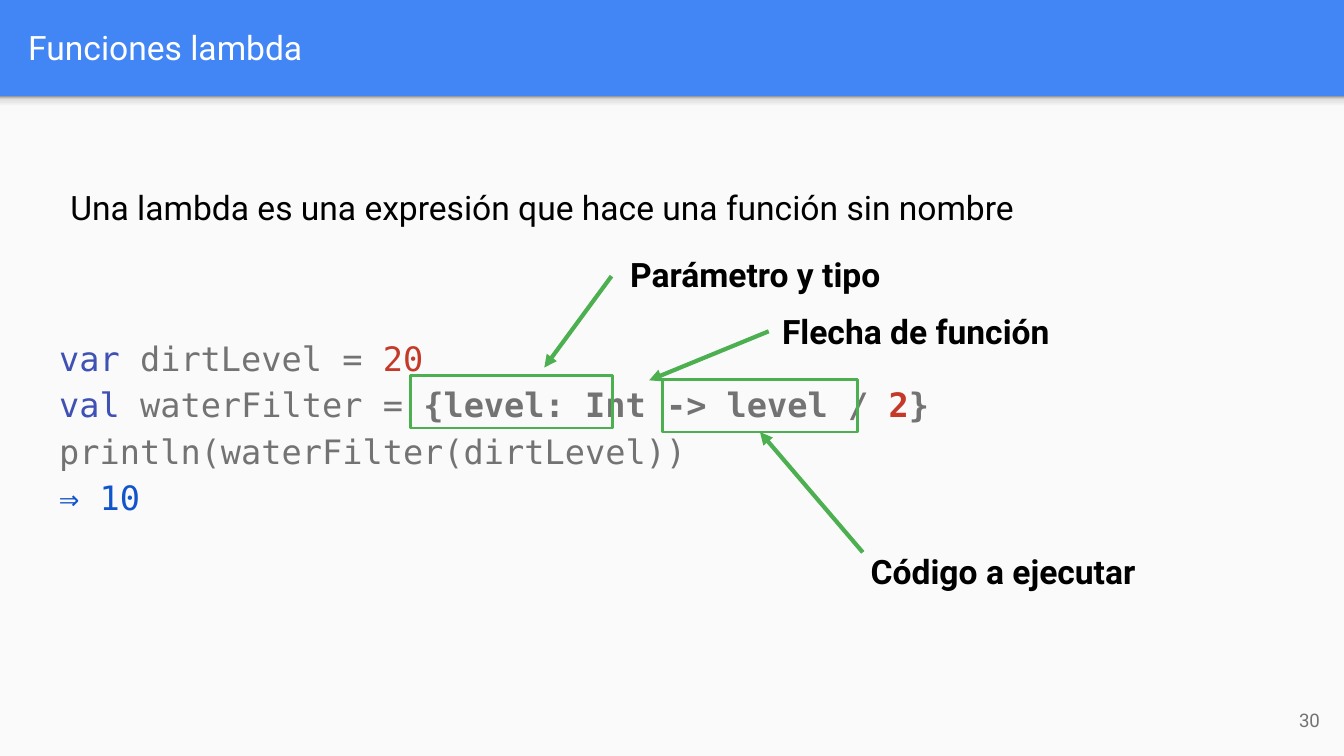
from copy import deepcopy

from lxml import etree
from pptx import Presentation
from pptx.dml.color import RGBColor
from pptx.enum.shapes import MSO_CONNECTOR, MSO_SHAPE
from pptx.enum.text import MSO_ANCHOR, MSO_AUTO_SIZE, PP_ALIGN
from pptx.oxml.ns import qn
from pptx.util import Pt

PX = 4572
RECT = MSO_SHAPE.RECTANGLE
LINE = MSO_CONNECTOR.STRAIGHT
TOP, MIDDLE = MSO_ANCHOR.TOP, MSO_ANCHOR.MIDDLE
FIXED = MSO_AUTO_SIZE.NONE
LEFT, RIGHT = PP_ALIGN.LEFT, PP_ALIGN.RIGHT
SANS, MONO = "Roboto", "DejaVu Sans Mono"
HEX = {
    "blue": "4285F4",
    "paper": "FAFAFA",
    "white": "FFFFFF",
    "black": "000000",
    "green": "4CAF50",
    "gray": "737373",
    "key": "3F51B5",
    "digit": "C53929",
    "result": "1155CC",
    "pale": "F9F9F9",
    "mist": "DEDEDE",
    "shade": "999999",
}
FADE = [(0, "pale"), (0.36, "pale"), (0.8, "mist"), (1, "shade")]
CODE = [
    [("var ", "key", False), ("dirtLevel = ", "gray", False), ("20", "digit", False)],
    [
        ("val", "key", False),
        (" waterFilter = ", "gray", False),
        ("{level: Int -> level / ", "gray", True),
        ("2", "digit", True),
        ("}", "gray", True),
    ],
    [("println(waterFilter(dirtLevel))", "gray", False)],
    [("⇒ 10", "result", False)],
]


def color(name):
    return RGBColor.from_string(HEX[name])


def px(*sizes):
    return [size * PX for size in sizes]


def style(font, name, tint, size=18, bold=False):
    font.name = name
    font.size = Pt(size)
    font.bold = bold
    font.color.rgb = color(tint)


def set_frame(frame, anchor=TOP):
    frame.word_wrap = True
    frame.auto_size = FIXED
    frame.vertical_anchor = anchor
    frame.margin_left = frame.margin_right = 20 * PX
    frame.margin_top = frame.margin_bottom = 20 * PX


def set_text(shape, text, tint="black", size=18, bold=False, anchor=TOP, align=LEFT):
    frame = shape.text_frame
    set_frame(frame, anchor)
    frame.text = text
    para = frame.paragraphs[0]
    para.alignment = align
    style(para.runs[0].font, SANS, tint, size, bold)


def add_text(slide, spot, text, **look):
    set_text(slide.shapes.add_textbox(*px(*spot)), text, **look)


def add_rect(slide, spot):
    shape = slide.shapes.add_shape(RECT, *px(*spot))
    shape.shadow.inherit = False
    return shape


def add_panel(slide):
    panel = add_rect(slide, (0, 143, 2000, 982))
    panel.fill.solid()
    panel.fill.fore_color.rgb = color("paper")
    panel.line.fill.background()


def add_fade(slide):
    strip = add_rect(slide, (0, 143, 2000, 24))
    strip.line.fill.background()
    fill = strip.fill
    fill.gradient()
    fill.gradient_angle = 90
    stops = strip._element.spPr.find(qn("a:gradFill")).find(qn("a:gsLst"))
    for stop in list(stops):
        stops.append(deepcopy(stop))
    for stop, (spot, tint) in zip(fill.gradient_stops, FADE):
        stop.position = spot
        stop.color.rgb = color(tint)


def add_frame(slide, spot):
    box = add_rect(slide, spot)
    box.fill.background()
    box.line.color.rgb = color("green")
    box.line.width = Pt(1.5)
    return box


def add_arrow(slide, tip, tail):
    arrow = slide.shapes.add_connector(LINE, *px(*tip, *tail))
    arrow.line.color.rgb = color("green")
    arrow.line.width = Pt(2.25)
    etree.SubElement(arrow.line._get_or_add_ln(), qn("a:headEnd"), type="triangle")
    etree.SubElement(arrow._element.spPr, qn("a:effectLst"))
    return arrow


def place(slide, holder, spot):
    holder.left, holder.top, holder.width, holder.height = px(*spot)
    slide.shapes._spTree.append(holder._element)


def set_code(body):
    frame = body.text_frame
    set_frame(frame)
    for row, parts in enumerate(CODE):
        para = frame.add_paragraph() if row else frame.paragraphs[0]
        props = para._p.get_or_add_pPr()
        props.set("marL", "0")
        props.set("indent", "0")
        etree.SubElement(props, qn("a:buNone"))
        para.alignment = LEFT
        para.line_spacing = 1.15
        para.space_before = Pt(0)
        for text, tint, bold in parts:
            run = para.add_run()
            run.text = text
            style(run.font, MONO, tint, bold=bold)


def main():
    deck = Presentation()
    deck.slide_width, deck.slide_height = px(2000, 1125)
    slide = deck.slides.add_slide(deck.slide_layouts[1])
    title, body = slide.shapes.title, slide.placeholders[1]
    slide.background.fill.solid()
    slide.background.fill.fore_color.rgb = color("blue")
    add_panel(slide)
    add_fade(slide)

    place(slide, body, (68, 474, 1864, 402))
    set_code(body)
    add_frame(slide, (611, 559, 300, 78))
    block = add_frame(slide, (986, 565, 290, 78))
    place(slide, title, (22, 4, 1930, 132))
    set_text(title, "Funciones lambda", tint="white", anchor=MIDDLE)
    add_text(slide, (1864, 1028, 120, 86), "30", tint="gray", size=10, anchor=MIDDLE, align=RIGHT)
    add_text(
        slide, (85, 258, 1842, 100), "Una lambda es una expresión que hace una función sin nombre"
    )

    add_arrow(slide, (966, 566), (1144, 493))
    add_text(slide, (1144, 443, 470, 100), "Flecha de función", bold=True)
    add_arrow(slide, (1131, 643), (1284, 822)).begin_connect(block, 2)
    add_text(slide, (1276, 800, 470, 78), "Código a ejecutar", bold=True)
    add_arrow(slide, (810, 547), (910, 411))
    add_text(slide, (918, 358, 532, 84), "Parámetro y tipo", bold=True)
    deck.save("out.pptx")


if __name__ == "__main__":
    main()
